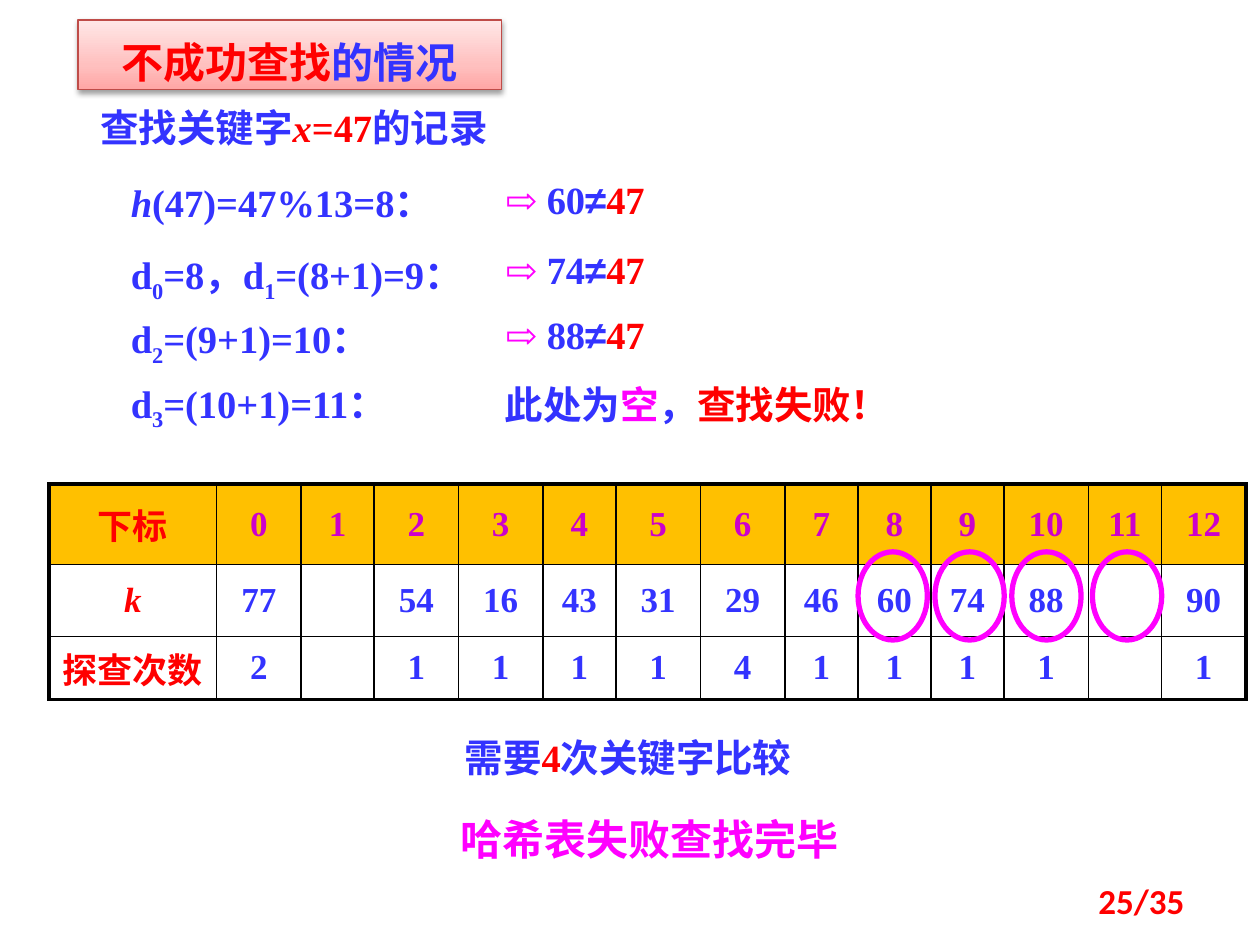
from lxml.etree import SubElement
from copy import deepcopy
from pptx import Presentation
from pptx.dml.color import RGBColor
from pptx.enum.shapes import MSO_SHAPE
from pptx.enum.text import MSO_ANCHOR, MSO_AUTO_SIZE, PP_ALIGN
from pptx.oxml.ns import qn
from pptx.util import Inches, Pt

BLUE = RGBColor(0x33, 0x33, 0xFF)
RED = RGBColor(0xFF, 0x00, 0x00)
MAGENTA = RGBColor(0xFF, 0x00, 0xFF)
PURPLE = RGBColor(0xCC, 0x00, 0xCC)
AMBER = RGBColor(0xFF, 0xC0, 0x00)
BRICK = RGBColor(0xBF, 0x4C, 0x48)
PINKS = [(0, RGBColor(0xFF, 0xA6, 0xA5)), (0.35, RGBColor(0xFF, 0xC0, 0xBF)),
         (1, RGBColor(0xFF, 0xE7, 0xE7))]
SERIF = "Times New Roman"
CHINESE = "Noto Sans CJK SC"
SUBSCRIPT = {"baseline": "-25000"}
ITALIC = {"i": "1"}


def write_runs(paragraph, runs, size=22, name=SERIF, **layout):
    for attribute, value in layout.items():
        setattr(paragraph, attribute, value)
    for text, color, *extra in runs:
        run = paragraph.add_run()
        run.text = text
        run.font.color.rgb = color
        font_name = "Arial" if text == "≠" else name
        for attribute, value in {"size": Pt(size), "bold": True, "name": font_name}.items():
            setattr(run.font, attribute, value)
        properties = run.font._element
        SubElement(properties, qn("a:ea")).set("typeface", CHINESE)
        for marks in extra:
            for attribute, value in marks.items():
                properties.set(attribute, value)


def add_text(left, top, width, height, runs, anchor=MSO_ANCHOR.TOP, **options):
    box = slide.shapes.add_textbox(Inches(left), Inches(top), Inches(width), Inches(height))
    frame = box.text_frame
    settings = {"word_wrap": True, "auto_size": MSO_AUTO_SIZE.NONE, "vertical_anchor": anchor}
    for attribute, value in settings.items():
        setattr(frame, attribute, value)
    write_runs(frame.paragraphs[0], runs, **options)


presentation = Presentation()
presentation.slide_width = Inches(10)
presentation.slide_height = Inches(7.5)
slide = presentation.slides.add_slide(presentation.slide_layouts[6])

title = slide.shapes.add_shape(
    MSO_SHAPE.RECTANGLE, Inches(0.62), Inches(0.16), Inches(3.36), Inches(0.55))
title.fill.gradient()
title.fill.gradient_angle = 90
stop_list = title._element.spPr.find(qn("a:gradFill")).find(qn("a:gsLst"))
stop_list.insert(1, deepcopy(stop_list[0]))
for stop, (position, color) in zip(title.fill.gradient_stops, PINKS):
    stop.position = position
    stop.color.rgb = color
title.line.color.rgb = BRICK
title.line.width = Pt(0.75)
title.shadow.inherit = False
shadow = SubElement(title._element.spPr.find(qn("a:effectLst")), qn("a:outerShdw"),
                    blurRad=str(Pt(3.1)), dist=str(Pt(1.6)), dir="5400000", rotWithShape="0")
shadow_color = SubElement(shadow, qn("a:srgbClr"), val="000000")
SubElement(shadow_color, qn("a:alpha"), val="38000")
title.text_frame.vertical_anchor = MSO_ANCHOR.TOP
write_runs(title.text_frame.paragraphs[0], [("不成功查找", RED), ("的情况", BLUE)],
           size=24, name=CHINESE, alignment=PP_ALIGN.CENTER, line_spacing=1.2)

add_text(3.28, 6.41, 3.75, 0.5, [("哈希表失败查找完毕", MAGENTA)],
         size=24, alignment=PP_ALIGN.CENTER)

rows = [
    ["下标", *map(str, range(13))],
    ["k", "77", "", "54", "16", "43", "31", "29", "46", "60", "74", "88", "", "90"],
    ["探查次数", "2", "", "1", "1", "1", "1", "4", "1", "1", "1", "1", "", "1"],
]
row_heights = [0.64, 0.57, 0.5]
NARROW_COLUMNS = {2, 5, 8, 9, 10, 12}
column_widths = [1.33] + [0.58 if column in NARROW_COLUMNS else 0.67 for column in range(1, 14)]
table = slide.shapes.add_table(
    3, 14, Inches(0.39), Inches(3.84), Inches(9.5), Inches(1.71)).table
table.first_row = False
table.horz_banding = False
for column, width in zip(table.columns, column_widths):
    column.width = Inches(width)
for row, height in zip(table.rows, row_heights):
    row.height = Inches(height)

for row_index, row in enumerate(rows):
    for column_index, text in enumerate(row):
        cell = table.cell(row_index, column_index)
        cell.vertical_anchor = MSO_ANCHOR.MIDDLE
        outer_edges = {"a:lnL": column_index == 0, "a:lnR": column_index == 13,
                       "a:lnT": row_index == 0, "a:lnB": row_index == 2}
        for tag, is_outer in outer_edges.items():
            border = SubElement(cell._tc.get_or_add_tcPr(), qn(tag),
                                w=str(Pt(2.25 if is_outer else 1)))
            SubElement(SubElement(border, qn("a:solidFill")), qn("a:srgbClr"), val="000000")
        if row_index == 0:
            cell.fill.solid()
            cell.fill.fore_color.rgb = AMBER
        else:
            cell.fill.background()
        if text:
            color = RED if column_index == 0 else PURPLE if row_index == 0 else BLUE
            marks = ITALIC if text == "k" else {}
            write_runs(cell.text_frame.paragraphs[0], [(text, color, marks)],
                       size=20, alignment=PP_ALIGN.CENTER)

for left in (6.81, 7.42, 8.03, 8.67):
    probe_ring = slide.shapes.add_shape(
        MSO_SHAPE.OVAL, Inches(left), Inches(4.38), Inches(0.55), Inches(0.7))
    probe_ring.shadow.inherit = False
    probe_ring.fill.background()
    probe_ring.line.color.rgb = MAGENTA
    probe_ring.line.width = Pt(3)

add_text(3.59, 5.78, 3.05, 0.47, [("需要", BLUE), ("4", RED), ("次关键字比较", BLUE)])
add_text(0.7, 0.78, 4.53, 0.47,
         [("查找关键字", BLUE), ("x", RED, ITALIC), ("=47", RED), ("的记录", BLUE)])

probe_steps = [
    (1.41, 2.81, [("h", BLUE, ITALIC), ("(47)=47%13=8：", BLUE)]),
    (1.95, 3.13, [("d", BLUE), ("0", BLUE, SUBSCRIPT), ("=8，d", BLUE),
                  ("1", BLUE, SUBSCRIPT), ("=(8+1)=9：", BLUE)]),
    (2.46, 3.59, [("d", BLUE), ("2", BLUE, SUBSCRIPT), ("=(9+1)=10：", BLUE)]),
    (2.97, 2.34, [("d", BLUE), ("3", BLUE, SUBSCRIPT), ("=(10+1)=11：", BLUE)]),
]
for top, width, runs in probe_steps:
    add_text(0.94, top, width, 0.43, runs, line_spacing=0.9)

for top, key in ((1.35, "60"), (1.9, "74"), (2.42, "88")):
    add_text(3.91, top, 1.48, 0.47,
             [("⇨ ", MAGENTA), (key, BLUE), ("≠", BLUE), ("47", RED)])

add_text(3.91, 3.02, 3.2, 0.43,
         [("此处为", BLUE), ("空", MAGENTA), ("，", BLUE), ("查找失败！", RED)], line_spacing=0.9)
add_text(7.17, 6.95, 2.33, 0.4, [("25/35", RED)], anchor=MSO_ANCHOR.MIDDLE,
         size=20, name="Calibri", alignment=PP_ALIGN.RIGHT)

presentation.save("out.pptx")
